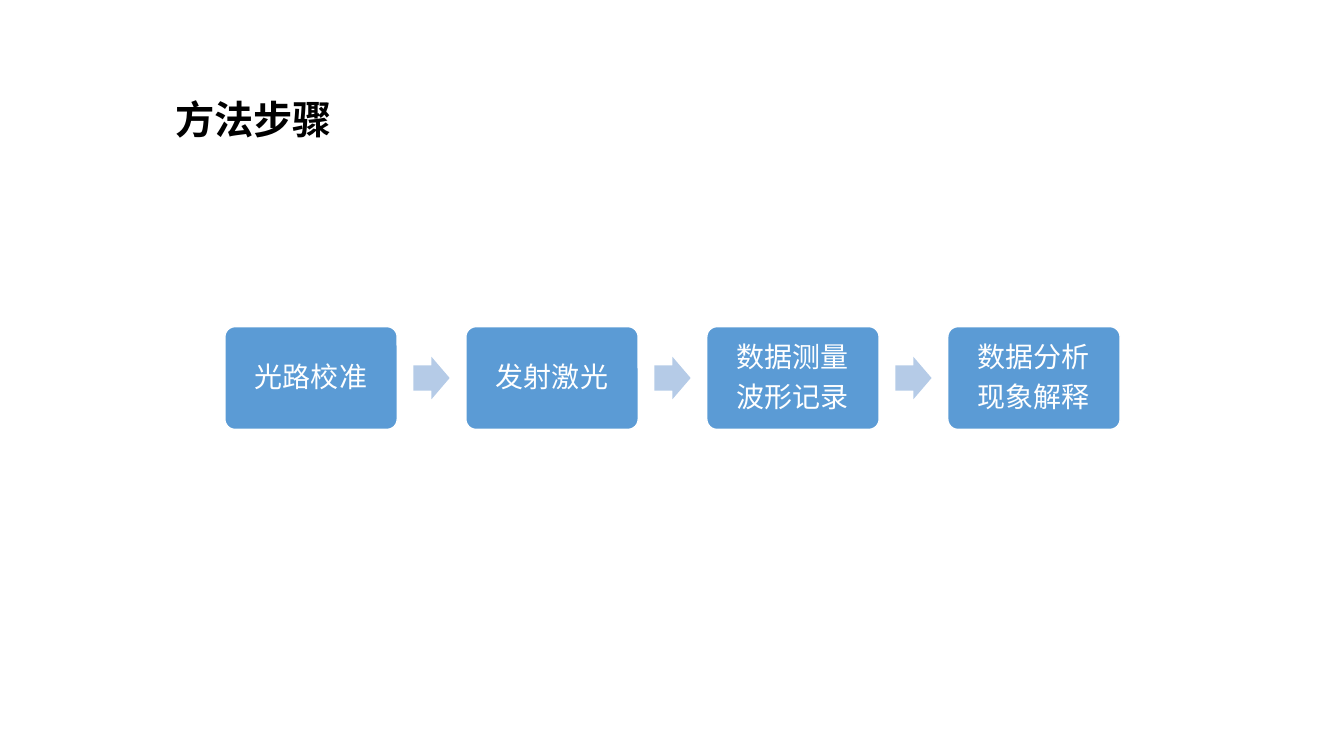
from dataclasses import dataclass

from lxml.etree import SubElement
from pptx import Presentation
from pptx.dml.color import RGBColor
from pptx.enum.shapes import MSO_SHAPE
from pptx.enum.text import MSO_ANCHOR, MSO_AUTO_SIZE, PP_ALIGN
from pptx.oxml.ns import qn
from pptx.slide import Slide
from pptx.text.text import TextFrame
from pptx.util import Inches, Pt


@dataclass(frozen=True)
class Theme:
    font: str = "Calibri"
    ink: str = "000000"
    paper: str = "FFFFFF"
    step_fill: str = "5B9BD5"
    arrow_fill: str = "B5CBE7"
    title_size: int = 28
    step_size: int = 20


@dataclass(frozen=True)
class Step:
    lines: tuple[str, ...]


THEME = Theme()
STEPS = [
    Step(("光路校准",)),
    Step(("发射激光",)),
    Step(("数据测量", "波形记录")),
    Step(("数据分析", "现象解释")),
]

# Flow geometry in inches
FLOW_LEFT, STEP_PITCH = 2.23, 2.39
STEP_TOP, STEP_WIDTH, STEP_HEIGHT = 3.24, 1.71, 1.02
ARROW_OFFSET, ARROW_WIDTH, ARROW_HEIGHT = 1.87, 0.36, 0.42


def write_text(frame: TextFrame, lines: tuple[str, ...], *, size: int, color: str,
               bold: bool = False, anchor: MSO_ANCHOR = MSO_ANCHOR.MIDDLE,
               space_after: float = 0) -> None:
    frame.word_wrap = True
    frame.auto_size = MSO_AUTO_SIZE.NONE
    frame.vertical_anchor = anchor
    for index, line in enumerate(lines):
        paragraph = frame.add_paragraph() if index else frame.paragraphs[0]
        paragraph.alignment = PP_ALIGN.CENTER
        paragraph.line_spacing = 0.9
        paragraph.space_before = Pt(0)
        paragraph.space_after = Pt(space_after)
        run = paragraph.add_run()
        run.text = line
        run.font.name = THEME.font
        run.font.size = Pt(size)
        run.font.bold = bold
        run.font.color.rgb = RGBColor.from_string(color)
        # Chinese characters take the East Asian typeface
        SubElement(run.font._element, qn("a:ea"), typeface=THEME.font)


def add_title(slide: Slide, text: str) -> None:
    title = slide.shapes.title
    title.left, title.top = Inches(1.18), Inches(0.93)
    title.width, title.height = Inches(2.67), Inches(0.54)
    write_text(title.text_frame, (text,), size=THEME.title_size, color=THEME.ink,
               bold=True, anchor=MSO_ANCHOR.BOTTOM)


def add_step(slide: Slide, step: Step, left: float) -> None:
    box = slide.shapes.add_shape(
        MSO_SHAPE.ROUNDED_RECTANGLE, Inches(left), Inches(STEP_TOP),
        Inches(STEP_WIDTH), Inches(STEP_HEIGHT))
    box.adjustments[0] = 0.1
    box.shadow.inherit = False
    box.fill.solid()
    box.fill.fore_color.rgb = RGBColor.from_string(THEME.step_fill)
    box.line.color.rgb = RGBColor.from_string(THEME.paper)
    box.line.width = Pt(1)
    frame = box.text_frame
    frame.margin_left = frame.margin_right = Inches(0.1)
    frame.margin_top = frame.margin_bottom = Inches(0.1)
    write_text(frame, step.lines, size=THEME.step_size, color=THEME.paper,
               space_after=0.35 * THEME.step_size)


def add_arrow(slide: Slide, left: float) -> None:
    top = STEP_TOP + (STEP_HEIGHT - ARROW_HEIGHT) / 2
    arrow = slide.shapes.add_shape(
        MSO_SHAPE.RIGHT_ARROW, Inches(left), Inches(top),
        Inches(ARROW_WIDTH), Inches(ARROW_HEIGHT))
    arrow.adjustments[0] = 0.6
    arrow.adjustments[1] = 0.5
    arrow.shadow.inherit = False
    arrow.fill.solid()
    arrow.fill.fore_color.rgb = RGBColor.from_string(THEME.arrow_fill)
    arrow.line.fill.background()


def main() -> None:
    deck = Presentation()
    deck.slide_width, deck.slide_height = Inches(13.33), Inches(7.5)
    slide = deck.slides.add_slide(deck.slide_layouts.get_by_name("Title Only"))

    # Heading
    add_title(slide, "方法步骤")

    # Steps, each followed by an arrow except the last
    for index, step in enumerate(STEPS):
        left = FLOW_LEFT + index * STEP_PITCH
        add_step(slide, step, left)
        if index < len(STEPS) - 1:
            add_arrow(slide, left + ARROW_OFFSET)

    deck.save("out.pptx")


if __name__ == "__main__":
    main()
